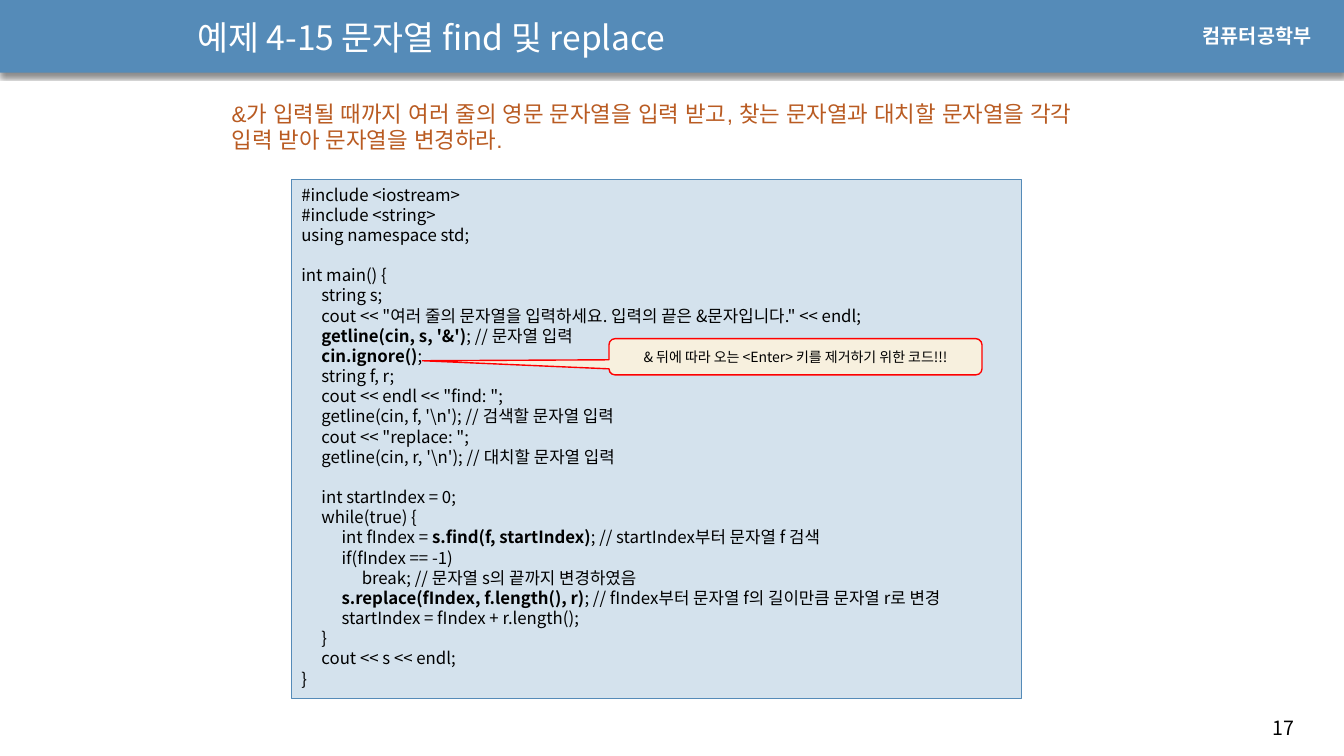
from lxml import etree
from pptx import Presentation
from pptx import util as u
from pptx.dml.color import RGBColor
from pptx.enum import shapes, text
from pptx.oxml import ns

SANS = "Noto Sans CJK KR"
BLUE = "558BB8"
TAB_STEP = 0.2
LINE_RATIO = 1.2

# Tabs indent, ** switches bold on and off, empty lines become spacing
CODE = r"""#include <iostream>
#include <string>
using namespace std;

int main() {
	string s;
	cout << "여러 줄의 문자열을 입력하세요. 입력의 끝은 &문자입니다." << endl;
	**getline(cin, s, '&')**; // 문자열 입력
	**cin.ignore()**;
	string f, r;
	cout << endl << "find: ";
	getline(cin, f, '\n'); // 검색할 문자열 입력
	cout << "replace: ";
	getline(cin, r, '\n'); // 대치할 문자열 입력

	int startIndex = 0;
	while(true) {
		int fIndex = **s.find(f, startIndex)**; // startIndex부터 문자열 f 검색
		if(fIndex == -1)
			break; // 문자열 s의 끝까지 변경하였음
		**s.replace(fIndex, f.length(), r)**; // fIndex부터 문자열 f의 길이만큼 문자열 r로 변경
		startIndex = fIndex + r.length();
	}
	cout << s << endl;
}"""


def color(value):
    return RGBColor.from_string(value)


def add_child(parent, tag, **attributes):
    child = etree.SubElement(parent, ns.qn(tag))
    for name, value in attributes.items():
        child.set(name, str(value))
    return child


def add_span(para, words, size, ink, font=SANS, bold=False):
    span = para.add_run()
    span.text = words
    span.font.size = u.Pt(size)
    span.font.bold = bold
    span.font.name = font
    span.font.color.rgb = color(ink)
    add_child(span._r.get_or_add_rPr(), "a:ea", typeface=font)


def add_panel(page, kind, box, fill, line=None, width=1):
    panel = page.shapes.add_shape(kind, *map(u.Inches, box))
    panel.shadow.inherit = False
    panel.fill.solid()
    panel.fill.fore_color.rgb = color(fill)
    if line:
        panel.line.color.rgb = color(line)
        panel.line.width = u.Pt(width)
    else:
        panel.line.fill.background()
    return panel


def add_label(page, box, words, size, ink, font=SANS, bold=False):
    label = page.shapes.add_textbox(*map(u.Inches, box))
    label.text_frame.word_wrap = True
    add_span(label.text_frame.paragraphs[0], words, size, ink, font, bold)
    return label.text_frame


def add_header(page, box):
    left, top, width, height = box
    bar = add_panel(page, shapes.MSO_SHAPE.RECTANGLE, box, BLUE)
    effects = bar._element.spPr.find(ns.qn("a:effectLst"))
    shadow = add_child(effects, "a:outerShdw", blurRad=u.Pt(3), dist=u.Pt(2.4),
                       dir=90 * 60000, rotWithShape=0)
    add_child(add_child(shadow, "a:srgbClr", val="000000"), "a:alpha", val=45000)
    title = add_label(page, (left + 1.86, top + 0.06, 8.27, 0.63),
                      "예제 4-15 문자열 find 및 replace", 24, "FFFFFF")
    title.vertical_anchor = text.MSO_ANCHOR.MIDDLE
    add_label(page, (left + width - 1.5, top + 0.2, 1.37, 0.34),
              "컴퓨터공학부", 14, "FFFFFF", "Arial", True)


def add_task(page, box):
    task = add_label(page, box, "&가 입력될 때까지 여러 줄의 영문 문자열을 입력 받고, "
                     "찾는 문자열과 대치할 문자열을 각각 입력 받아 문자열을 변경하라.",
                     16, "B95B22", "Arial")
    task.paragraphs[0].line_spacing = u.Pt(16 * LINE_RATIO)


def add_code(page, box, size=12):
    panel = add_panel(page, shapes.MSO_SHAPE.RECTANGLE, box, "D4E2ED", BLUE, 0.75)
    frame = panel.text_frame
    frame.word_wrap = True
    frame.vertical_anchor = text.MSO_ANCHOR.TOP
    pitch = u.Pt(size * LINE_RATIO)
    para, gap = frame.paragraphs[0], 0
    for number, line in enumerate(CODE.splitlines()):
        if not line:
            gap = pitch
            continue
        if number:
            para = frame.add_paragraph()
        para.alignment = text.PP_ALIGN.LEFT
        para.line_spacing = pitch
        para.space_before, gap = gap, 0
        stops = add_child(para._p.get_or_add_pPr(), "a:tabLst")
        for level in (1, 2, 3):
            add_child(stops, "a:tab", pos=u.Inches(level * TAB_STEP), algn="l")
        for order, part in enumerate(line.split("**")):
            if part:
                add_span(para, part, size, "000000", bold=order % 2 == 1)


def add_callout(page, box):
    callout = add_panel(page, shapes.MSO_SHAPE.ROUNDED_RECTANGULAR_CALLOUT, box,
                        "F7F0DE", "FF0000")
    for index, value in enumerate((-1.0, 0.11, 0.17)):
        callout.adjustments[index] = value
    frame = callout.text_frame
    frame.word_wrap = True
    frame.vertical_anchor = text.MSO_ANCHOR.MIDDLE
    para = frame.paragraphs[0]
    para.alignment = text.PP_ALIGN.CENTER
    add_span(para, "& 뒤에 따라 오는 <Enter> 키를 제거하기 위한 코드!!!", 10, "000000")


def main():
    deck = Presentation()
    deck.slide_width, deck.slide_height = u.Inches(13.33), u.Inches(7.5)
    page = deck.slides.add_slide(deck.slide_layouts[6])
    add_header(page, (0, -0.01, 13.33, 0.73))
    add_label(page, (12.52, 7.05, 0.71, 0.34), "17", 14, "000000")
    add_code(page, (2.89, 1.78, 7.24, 5.15))
    add_task(page, (2.2, 0.94, 8.94, 0.64))
    add_callout(page, (6.04, 3.36, 3.7, 0.36))
    deck.save("out.pptx")


if __name__ == "__main__":
    main()
